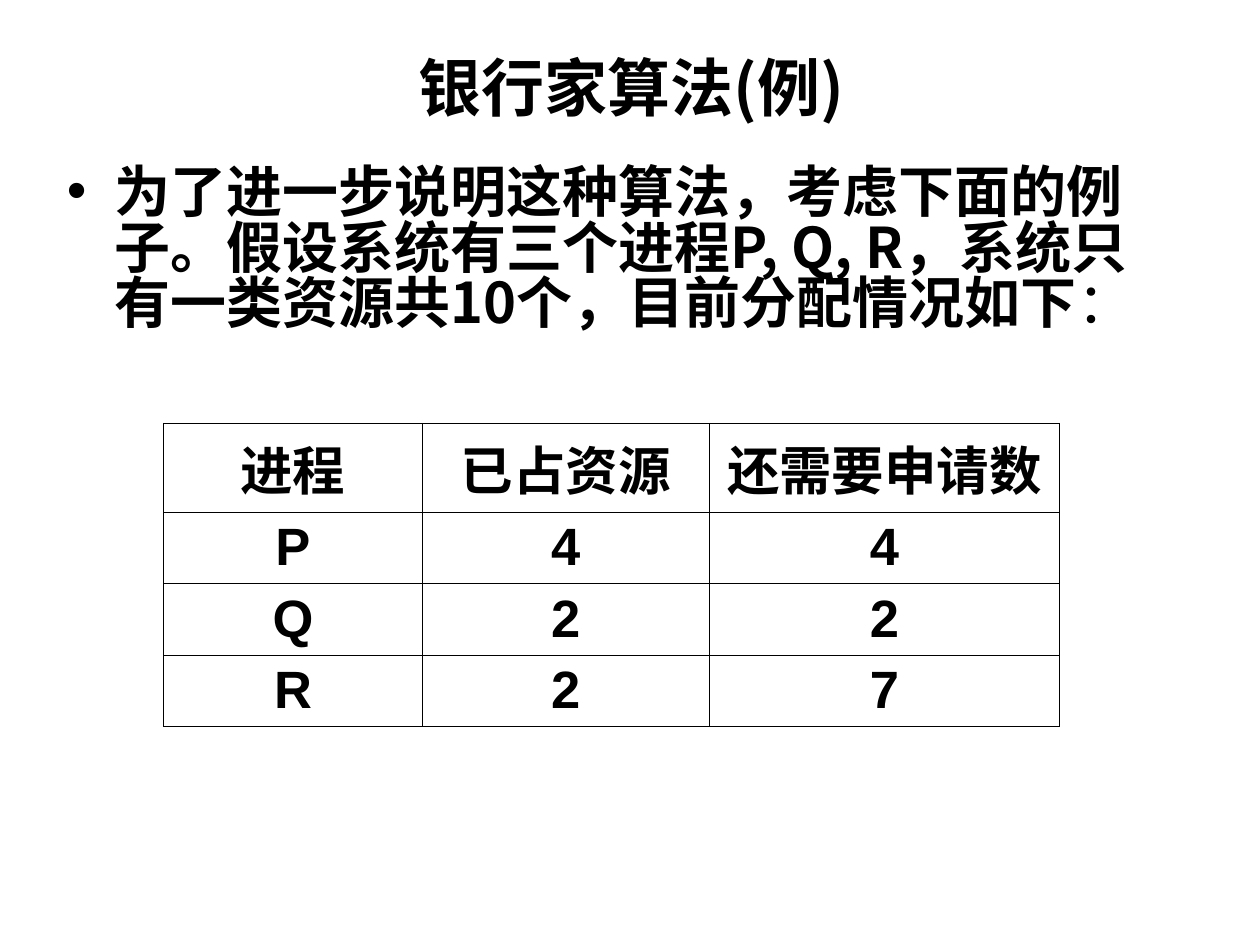
from pptx import Presentation
from pptx import util as u
from pptx.dml.color import RGBColor
from pptx.enum import text
from pptx.oxml.ns import qn
from lxml import etree

BLACK = RGBColor(0, 0, 0)
WHITE = RGBColor(255, 255, 255)
TITLE_FONT = "Noto Sans CJK JP"
BODY_FONT = "Noto Sans CJK SC"

deck = Presentation()
deck.slide_width, deck.slide_height = u.Inches(10), u.Inches(7.5)
unit = deck.slide_width / 100  # square grid, 100 columns by 75 rows
page = deck.slides.add_slide(deck.slide_layouts[1])
page.background.fill.solid()
page.background.fill.fore_color.rgb = WHITE


def place(box, *cells):
    box.left, box.top, box.width, box.height = [int(n * unit) for n in cells]
    box.text_frame.word_wrap = True
    box.text_frame.auto_size = text.MSO_AUTO_SIZE.NONE


def style(span, size, latin, east_asian, bold=True):
    span.font.size = u.Pt(size)
    span.font.bold = bold
    span.font.color.rgb = BLACK
    span.font.name = latin
    latin_tag = span.font._element.find(qn("a:latin"))
    east_tag = etree.Element(qn("a:ea"), typeface=east_asian)
    latin_tag.addnext(east_tag)


title = page.shapes.title
place(title, 5.1, 0, 90, 13.7)
title.text_frame.text = "银行家算法(例)"
title.text_frame.vertical_anchor = text.MSO_ANCHOR.MIDDLE
para = title.text_frame.paragraphs[0]
para.alignment = text.PP_ALIGN.CENTER
style(para.runs[0], 36, TITLE_FONT, TITLE_FONT)

body = page.placeholders[1]
place(body, 4.3, 12.3, 90.3, 48.7)
body.text_frame.margin_top = u.Inches(0.1)
para = body.text_frame.paragraphs[0]
para.text = ("为了进一步说明这种算法，考虑下面的例子。假设系统有三个进程P, Q, R，"
             "系统只有一类资源共10个，目前分配情况如下")
para.add_run().text = "："
para.space_before = u.Pt(0)
para.line_spacing = 0.83
for span, bold in zip(para.runs, (True, False)):
    style(span, 32, BODY_FONT, BODY_FONT, bold)

allocation = [
    ("进程", "已占资源", "还需要申请数"),
    ("P", "4", "4"),
    ("Q", "2", "2"),
    ("R", "2", "7"),
]
column_widths = (20.5, 22.8, 27.8)
row_heights = (7, 5.67, 5.67, 5.67)
frame = page.shapes.add_table(
    len(row_heights), len(column_widths), int(13 * unit), int(33.6 * unit),
    int(sum(column_widths) * unit), int(sum(row_heights) * unit))
table = frame.table
for column, width in zip(table.columns, column_widths):
    column.width = int(width * unit)
for row, height, values in zip(table.rows, row_heights, allocation):
    row.height = int(height * unit)
    for cell, value in zip(row.cells, values):
        cell.text = value
        cell.margin_left = cell.margin_right = u.Inches(0.07)
        cell.margin_top = cell.margin_bottom = u.Inches(0.05)
        para = cell.text_frame.paragraphs[0]
        para.alignment = text.PP_ALIGN.CENTER
        style(para.runs[0], 30, "Arial", BODY_FONT)
        properties = cell._tc.get_or_add_tcPr()
        for side in ("lnL", "lnR", "lnT", "lnB"):
            line = etree.SubElement(properties, qn(f"a:{side}"), w=str(u.Pt(0.5)))
            fill = etree.SubElement(line, qn("a:solidFill"))
            etree.SubElement(fill, qn("a:srgbClr"), val=str(BLACK))
        cell.fill.background()

deck.save("out.pptx")
